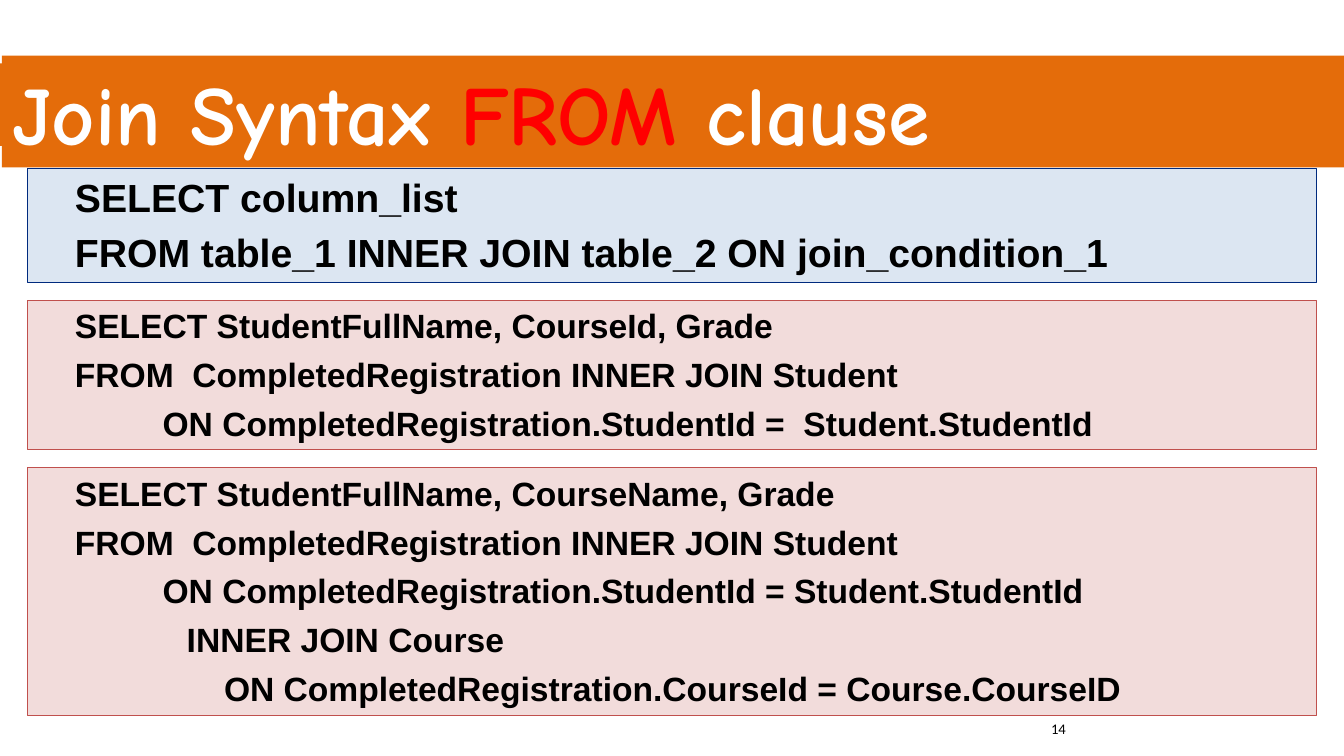
from pptx import Presentation
from pptx import util as u
from pptx.dml import color
from pptx.enum import shapes, text
from pptx.oxml import ns, xmlchemy

CODE_LEFT, CODE_TOP, CODE_WIDTH, CODE_GAP = 0.69, 4.24, 32.49, 0.46
CODE_INDENT, CODE_TAB = 0.95, 3.81
ORANGE = "E46C0A"
BLUE_BOX = ("DCE6F2", "002A7E")
RED_BOX = ("F2DCDB", "C0504D")

CODE_BOXES = [
    (2.87, 28, BLUE_BOX, [
        "SELECT column_list",
        "FROM table_1 INNER JOIN table_2 ON join_condition_1",
    ]),
    (3.76, 24, RED_BOX, [
        "SELECT StudentFullName, CourseId, Grade",
        "FROM  CompletedRegistration INNER JOIN Student",
        "\t    ON CompletedRegistration.StudentId =  Student.StudentId",
    ]),
    (6.25, 24, RED_BOX, [
        "SELECT StudentFullName, CourseName, Grade",
        "FROM  CompletedRegistration INNER JOIN Student",
        "\t    ON CompletedRegistration.StudentId = Student.StudentId",
        "            INNER JOIN Course",
        "                ON CompletedRegistration.CourseId = Course.CourseID",
    ]),
]


def paint(format_with_colour, hex_colour):
    """Give a fill a solid colour."""
    format_with_colour.solid()
    format_with_colour.fore_color.rgb = color.RGBColor.from_string(hex_colour)


def style_font(font, name, size, hex_colour, bold=False):
    """Set the typeface, size, colour and weight of a font."""
    font.name, font.size, font.bold = name, u.Pt(size), bold
    paint(font.fill, hex_colour)


def add_box(slide, left, top, width, height, fill, line=None):
    """Add a flat rectangle, outlined when a line colour is given."""
    box = slide.shapes.add_shape(shapes.MSO_SHAPE.RECTANGLE,
                                 u.Cm(left), u.Cm(top), u.Cm(width), u.Cm(height))
    box.shadow.inherit = False
    paint(box.fill, fill)
    if line:
        paint(box.line.fill, line)
        box.line.width = u.Pt(0.75)
    else:
        box.line.fill.background()
    return box


def indent_code(paragraph):
    """Indent a code line and give it a left tab stop."""
    properties = paragraph._p.get_or_add_pPr()
    properties.set("marL", str(u.Cm(CODE_INDENT)))
    properties.set("indent", "0")
    tab_list = xmlchemy.OxmlElement("a:tabLst")
    tab = tab_list.makeelement(ns.qn("a:tab"), {"pos": str(u.Cm(CODE_TAB)), "algn": "l"})
    tab_list.append(tab)
    properties.append(tab_list)


def add_code_box(slide, top, height, size, colours, lines):
    """Add an outlined box with lines of SQL."""
    frame = add_box(slide, CODE_LEFT, top, CODE_WIDTH, height, *colours).text_frame
    frame.word_wrap = True
    frame.vertical_anchor = text.MSO_ANCHOR.TOP
    frame.text = "\n".join(lines)
    for number, paragraph in enumerate(frame.paragraphs):
        indent_code(paragraph)
        paragraph.alignment = text.PP_ALIGN.LEFT
        paragraph.space_before = u.Pt(3 if number else 0)
        paragraph.space_after = u.Pt(3)
        for run in paragraph.runs:
            style_font(run.font, "Arial", size, "000000", bold=True)


def set_title(slide, pieces):
    """Place the title over an orange strip, with a colour for each piece."""
    add_box(slide, 0, 1.6, 33.87, 2.08, ORANGE)
    title = slide.shapes.title
    title.element.getparent().append(title.element)
    title.left, title.top = u.Cm(0.05), u.Cm(1.4)
    title.width, title.height = u.Cm(33.93), u.Cm(2.82)
    paint(title.fill, ORANGE)
    frame = title.text_frame
    frame.auto_size = text.MSO_AUTO_SIZE.NONE
    frame.vertical_anchor = text.MSO_ANCHOR.MIDDLE
    paragraph = frame.paragraphs[0]
    paragraph.alignment = text.PP_ALIGN.LEFT
    for wording, hex_colour in pieces:
        run = paragraph.add_run()
        run.text = wording
        style_font(run.font, "Comic Neue", 60, hex_colour, bold=True)


def add_page_number(slide, number):
    """Write the page number at the lower right."""
    box = slide.shapes.add_textbox(u.Cm(26.24), u.Cm(18.01), u.Cm(7.62), u.Cm(1.02))
    box.text_frame.word_wrap = True
    box.text_frame.text = number
    style_font(box.text_frame.paragraphs[0].runs[0].font, "Calibri", 10.5, "000000")


def main():
    """Build the slide and save it."""
    presentation = Presentation()
    presentation.slide_width, presentation.slide_height = u.Cm(33.87), u.Cm(19.05)
    slide = presentation.slides.add_slide(presentation.slide_layouts[5])
    set_title(slide, [("Join Syntax ", "FFFFFF"), ("FROM", "FF0000"), (" clause", "FFFFFF")])
    top = CODE_TOP
    for height, size, colours, lines in CODE_BOXES:
        add_code_box(slide, top, height, size, colours, lines)
        top += height + CODE_GAP
    add_page_number(slide, "14")
    presentation.save("out.pptx")


if __name__ == "__main__":
    main()
